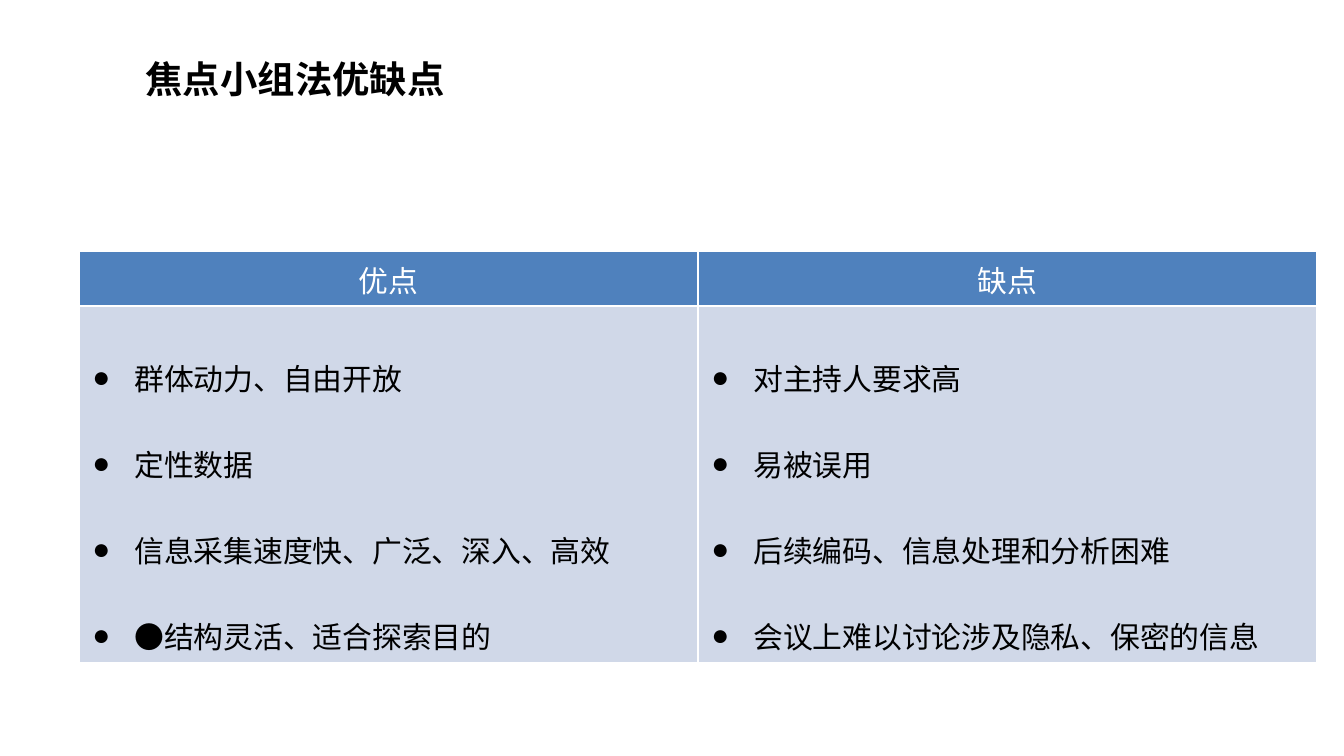
from dataclasses import dataclass

from lxml.etree import SubElement
from pptx import Presentation
from pptx.dml.color import RGBColor
from pptx.enum.text import MSO_ANCHOR, MSO_AUTO_SIZE, PP_ALIGN
from pptx.oxml.ns import qn
from pptx.util import Pt

EMU_PER_PX = 914400 / 134.4


@dataclass(frozen=True)
class Theme:
    font: str = "Calibri"
    bullet_font: str = "Arial"
    title_size: int = 20
    table_size: int = 16
    text: str = "000000"
    white: str = "FFFFFF"
    header_fill: str = "4F81BD"
    body_fill: str = "D0D8E8"


@dataclass(frozen=True)
class Aspect:
    heading: str
    points: tuple[str, ...]


THEME = Theme()
ASPECTS = (
    Aspect("优点", ("群体动力、自由开放", "定性数据",
                  "信息采集速度快、广泛、深入、高效", "●结构灵活、适合探索目的")),
    Aspect("缺点", ("对主持人要求高", "易被误用",
                  "后续编码、信息处理和分析困难", "会议上难以讨论涉及隐私、保密的信息")),
)
COLUMN_WIDTH, HEADER_HEIGHT, BODY_HEIGHT = 619, 55, 357
BULLET_INDENT = 42


def px(length: int) -> int:
    return round(length * EMU_PER_PX)


def format_runs(paragraph, size: int, color: str, bold: bool = False) -> None:
    for run in paragraph.runs:
        run.font.name = THEME.font
        run.font.size = Pt(size)
        run.font.bold = bold
        run.font.color.rgb = RGBColor.from_string(color)


def add_bullet(paragraph) -> None:
    properties = paragraph._p.get_or_add_pPr()
    properties.set("marL", str(px(BULLET_INDENT)))
    properties.set("indent", str(-px(BULLET_INDENT)))
    SubElement(properties, qn("a:buFont"), typeface=THEME.bullet_font)
    SubElement(properties, qn("a:buChar"), char="●")


def style_cell(cell, fill: str) -> None:
    properties = cell._tc.get_or_add_tcPr()
    for side in ("lnL", "lnR", "lnT", "lnB"):
        border = SubElement(properties, qn(f"a:{side}"), w=str(Pt(1)))
        SubElement(SubElement(border, qn("a:solidFill")), qn("a:srgbClr"), val=THEME.white)
    cell.fill.solid()
    cell.fill.fore_color.rgb = RGBColor.from_string(fill)


def fill_header(cell, heading: str) -> None:
    style_cell(cell, THEME.header_fill)
    cell.text_frame.text = heading
    paragraph = cell.text_frame.paragraphs[0]
    paragraph.alignment = PP_ALIGN.CENTER
    format_runs(paragraph, THEME.table_size, THEME.white)


def fill_points(cell, points: tuple[str, ...]) -> None:
    style_cell(cell, THEME.body_fill)
    cell.text_frame.text = "\n".join(points)
    for paragraph in cell.text_frame.paragraphs:
        add_bullet(paragraph)
        paragraph.line_spacing = 2.0
        format_runs(paragraph, THEME.table_size, THEME.text)


def add_title(slide, text: str) -> None:
    title = slide.shapes.title
    title.left, title.top, title.width, title.height = map(px, (132, 49, 331, 59))
    frame = title.text_frame
    frame.text = text
    frame.word_wrap = False
    frame.auto_size = MSO_AUTO_SIZE.SHAPE_TO_FIT_TEXT
    frame.vertical_anchor = MSO_ANCHOR.TOP
    frame.paragraphs[0].alignment = PP_ALIGN.LEFT
    format_runs(frame.paragraphs[0], THEME.title_size, THEME.text, bold=True)


def add_comparison(slide, aspects: tuple[Aspect, ...]) -> None:
    table = slide.shapes.add_table(
        2, len(aspects), px(79), px(251),
        px(COLUMN_WIDTH * len(aspects)), px(HEADER_HEIGHT + BODY_HEIGHT)).table
    table.rows[0].height = px(HEADER_HEIGHT)
    table.rows[1].height = px(BODY_HEIGHT)
    for column, aspect in enumerate(aspects):
        table.columns[column].width = px(COLUMN_WIDTH)
        fill_header(table.cell(0, column), aspect.heading)
        fill_points(table.cell(1, column), aspect.points)


def main() -> None:
    presentation = Presentation()
    presentation.slide_width, presentation.slide_height = px(1344), px(756)
    slide = presentation.slides.add_slide(presentation.slide_layouts[5])

    # Heading
    add_title(slide, "焦点小组法优缺点")

    # Advantages beside disadvantages
    add_comparison(slide, ASPECTS)

    presentation.save("out.pptx")


if __name__ == "__main__":
    main()
